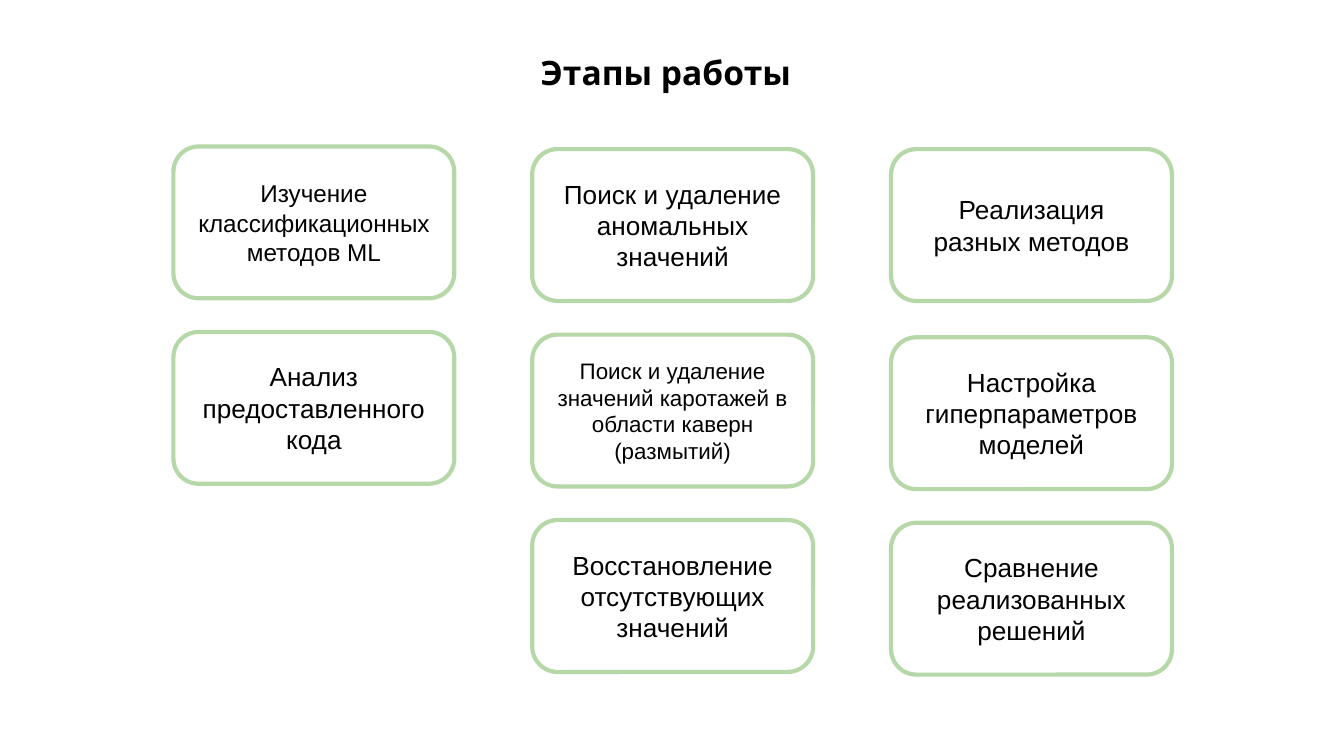
import dataclasses

import pptx
import pptx.dml.color
import pptx.enum.shapes
import pptx.enum.text
import pptx.util

Inches = pptx.util.Inches
Pt = pptx.util.Pt


@dataclasses.dataclass(frozen=True)
class Theme:
    text: str = "000000"
    outline: str = "B6D7A8"
    title_font: str = "Open Sans"
    body_font: str = "Arial"
    title_size: int = 18
    body_size: int = 14
    snug_size: int = 13
    small_size: int = 12
    line_width: float = 2.25


THEME = Theme()
PAGE_WIDTH = 10
CARD_WIDTH, CARD_HEIGHT = 2.09, 1.13
COLUMN_LEFT, COLUMN_STEP = 1.29, 2.67

# Each column lists its cards: top, text, type size
COLUMNS = [
    [
        (1.09, "Изучение классификационных методов ML", THEME.snug_size),
        (2.47, "Анализ предоставленного кода", THEME.body_size),
    ],
    [
        (1.11, "Поиск и удаление аномальных значений", THEME.body_size),
        (2.49, "Поиск и удаление значений каротажей в области каверн (размытий)",
         THEME.small_size),
        (3.87, "Восстановление отсутствующих значений", THEME.body_size),
    ],
    [
        (1.11, "Реализация разных методов", THEME.body_size),
        (2.51, "Настройка гиперпараметров моделей", THEME.body_size),
        (3.89, "Сравнение реализованных решений", THEME.body_size),
    ],
]


def color(value):
    return pptx.dml.color.RGBColor.from_string(value)


def write_text(shape, text, font, size, anchor, bold=False):
    frame = shape.text_frame
    frame.word_wrap = True
    frame.vertical_anchor = anchor
    frame.margin_left = frame.margin_right = Inches(0.1)
    frame.margin_top = frame.margin_bottom = Inches(0.1)
    para = frame.paragraphs[0]
    para.alignment = pptx.enum.text.PP_ALIGN.CENTER
    span = para.add_run()
    span.text = text
    span.font.name = font
    span.font.size = Pt(size)
    span.font.bold = bold
    span.font.color.rgb = color(THEME.text)


def add_title(page, left, top, width, height):
    box = page.shapes.add_textbox(
        Inches(left), Inches(top), Inches(width), Inches(height))
    write_text(box, "Этапы работы", THEME.title_font, THEME.title_size,
               pptx.enum.text.MSO_ANCHOR.TOP, bold=True)
    box.text_frame.auto_size = pptx.enum.text.MSO_AUTO_SIZE.SHAPE_TO_FIT_TEXT


def add_card(page, left, top, width, height, text, size):
    card = page.shapes.add_shape(
        pptx.enum.shapes.MSO_SHAPE.ROUNDED_RECTANGLE,
        Inches(left), Inches(top), Inches(width), Inches(height))
    card.shadow.inherit = False
    card.fill.background()
    card.line.color.rgb = color(THEME.outline)
    card.line.width = Pt(THEME.line_width)
    write_text(card, text, THEME.body_font, size,
               pptx.enum.text.MSO_ANCHOR.MIDDLE)


def add_stages(page, left):
    for index, cards in enumerate(COLUMNS):
        for top, text, size in cards:
            add_card(page, left + index * COLUMN_STEP, top,
                     CARD_WIDTH, CARD_HEIGHT, text, size)


def main():
    # Widescreen page, 16 to 9
    deck = pptx.Presentation()
    deck.slide_width = Inches(PAGE_WIDTH)
    deck.slide_height = Inches(PAGE_WIDTH * 9 / 16)
    page = deck.slides.add_slide(deck.slide_layouts[6])

    # Heading
    add_title(page, 3.4, 0.29, 3.11, 0.5)

    # Work stages in three columns
    add_stages(page, COLUMN_LEFT)

    deck.save("out.pptx")


if __name__ == "__main__":
    main()
